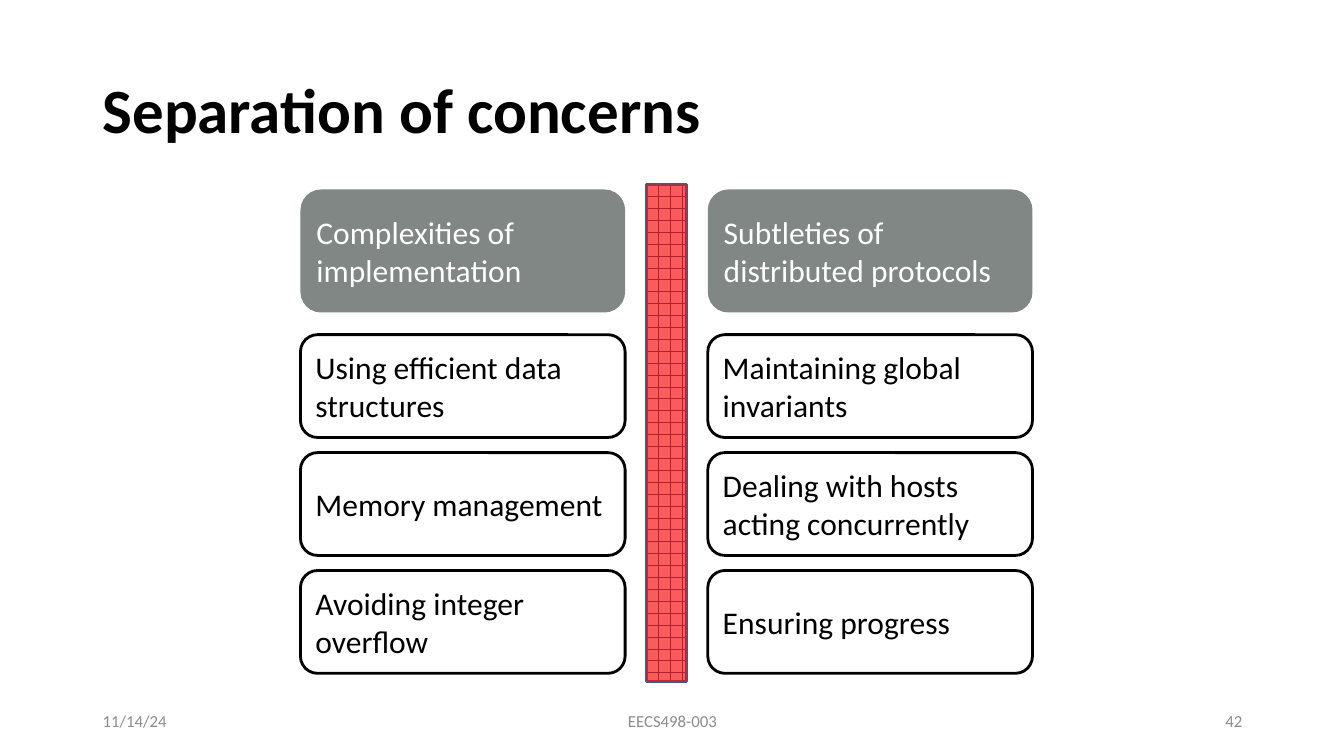
import pptx
import pptx.util
import pptx.dml.color
import pptx.enum.dml
import pptx.enum.shapes
import pptx.enum.text
import pptx.oxml.ns
from lxml import etree

Inches = pptx.util.Inches
Pt = pptx.util.Pt
RGBColor = pptx.dml.color.RGBColor
Shape = pptx.enum.shapes.MSO_SHAPE
Align = pptx.enum.text.PP_ALIGN

BLACK = RGBColor(0x00, 0x00, 0x00)
WHITE = RGBColor(0xFF, 0xFF, 0xFF)
HEADER_GRAY = RGBColor(0x80, 0x87, 0x85)
FOOTER_GRAY = RGBColor(0x8C, 0x8C, 0x8C)
BRICK_BLUE = RGBColor(0x1F, 0x49, 0x7D)
WALL_EDGE = RGBColor(0x3A, 0x5F, 0x8C)
WALL_RED = RGBColor(0xF9, 0x0F, 0x0F)


class ConcernsSlide:
    """Draw titles, cards, walls and footers in one style on a slide."""

    font_name = "Calibri"

    def __init__(self, slide):
        self.shapes = slide.shapes

    def set_text(self, shape, text, size, color, align=Align.LEFT, bold=False):
        frame = shape.text_frame
        frame.word_wrap = True
        frame.vertical_anchor = pptx.enum.text.MSO_ANCHOR.MIDDLE
        paragraph = frame.paragraphs[0]
        paragraph.text = text
        paragraph.alignment = align
        paragraph.font.name = self.font_name
        paragraph.font.size = Pt(size)
        paragraph.font.bold = bold
        paragraph.font.color.rgb = color
        return paragraph

    def label(self, box, text, size, color, align=Align.LEFT, bold=False):
        area = self.shapes.add_textbox(*map(Inches, box))
        return self.set_text(area, text, size, color, align, bold)

    def card(self, box, text, fill, color, edge=None):
        card = self.shapes.add_shape(Shape.ROUNDED_RECTANGLE, *map(Inches, box))
        card.shadow.inherit = False
        card.fill.solid()
        card.fill.fore_color.rgb = fill
        if edge is None:
            card.line.fill.background()
        else:
            card.line.color.rgb = edge
            card.line.width = Pt(2)
        self.set_text(card, text, 22.5, color)

    def wall(self, box, opacity):
        group = self.shapes.add_group_shape()
        bricks, tint = (
            group.shapes.add_shape(Shape.RECTANGLE, *map(Inches, box))
            for _ in range(2)
        )
        bricks.shadow.inherit = tint.shadow.inherit = False
        bricks.fill.patterned()
        bricks.fill.pattern = pptx.enum.dml.MSO_PATTERN.HORIZONTAL_BRICK
        bricks.fill.fore_color.rgb = BRICK_BLUE
        bricks.fill.back_color.rgb = WHITE
        bricks.line.color.rgb = WALL_EDGE
        bricks.line.width = Pt(2)
        tint.fill.solid()
        tint.fill.fore_color.rgb = WALL_RED
        tint.line.fill.background()
        color = tint.element.spPr.find(".//" + pptx.oxml.ns.qn("a:srgbClr"))
        alpha = etree.SubElement(color, pptx.oxml.ns.qn("a:alpha"))
        alpha.set("val", str(opacity * 1000))


def main():
    deck = pptx.Presentation()
    deck.slide_width = Inches(13.33)
    deck.slide_height = Inches(7.5)
    page = ConcernsSlide(deck.slides.add_slide(deck.slide_layouts[6]))

    title = page.label((0.92, 0.4, 11.5, 1.45), "Separation of concerns",
                       45, BLACK, bold=True)
    title.line_spacing = 0.9

    concerns = {
        "Complexities of implementation": [
            "Using efficient data structures",
            "Memory management",
            "Avoiding integer overflow",
        ],
        "Subtleties of distributed protocols": [
            "Maintaining global invariants",
            "Dealing with hosts acting concurrently",
            "Ensuring progress",
        ],
    }
    for column, (heading, examples) in enumerate(concerns.items()):
        left = 2.98 + 4.04 * column
        page.card((left, 1.88, 3.22, 1.22), heading, HEADER_GRAY, WHITE)
        for row, example in enumerate(examples):
            page.card((left, 3.32 + 1.17 * row, 3.22, 1.02), example,
                      WHITE, BLACK, edge=BLACK)

    page.wall((6.41, 1.83, 0.4, 4.93), opacity=68)

    footers = [
        (0.92, 3, "11/14/24", Align.LEFT),
        (4.42, 4.5, "EECS498-003", Align.CENTER),
        (9.42, 3, "42", Align.RIGHT),
    ]
    for left, width, text, align in footers:
        page.label((left, 6.95, width, 0.4), text, 12, FOOTER_GRAY, align)

    deck.save("out.pptx")


if __name__ == "__main__":
    main()
